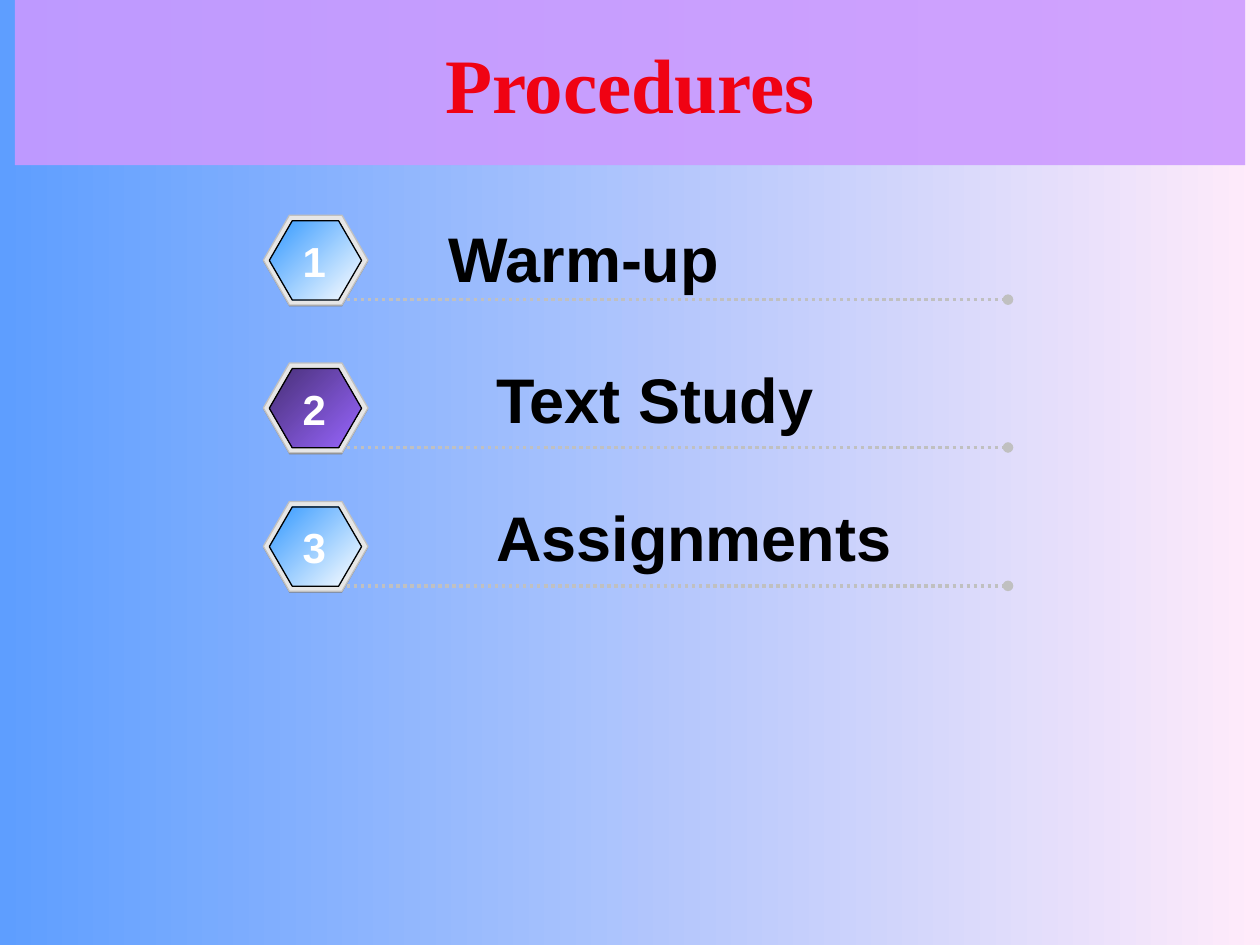
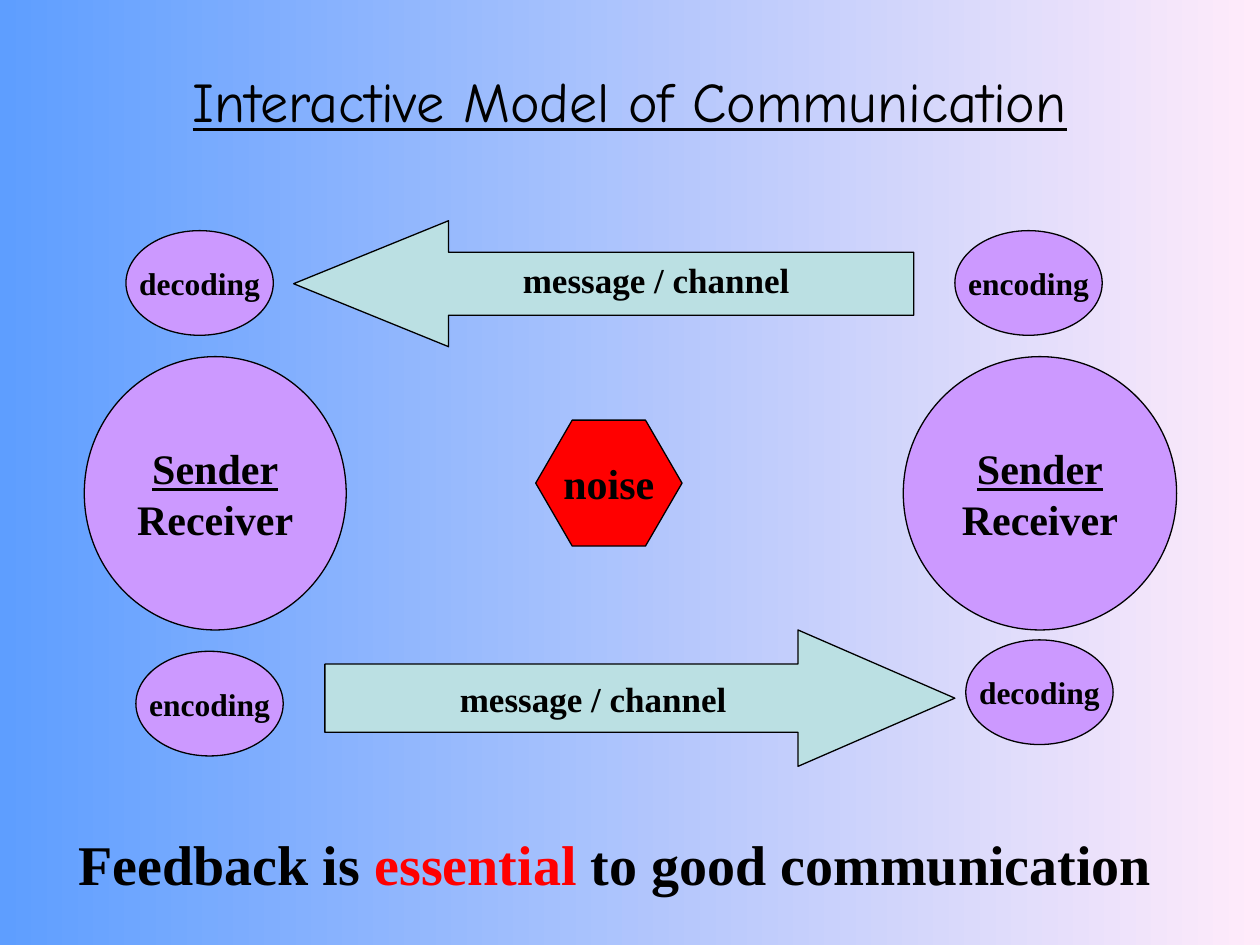
from lxml.etree import SubElement
from pptx import Presentation
from pptx.dml.color import RGBColor
from pptx.enum.dml import MSO_LINE
from pptx.enum.shapes import MSO_CONNECTOR, MSO_SHAPE
from pptx.enum.text import MSO_ANCHOR, PP_ALIGN
from pptx.oxml.ns import qn
from pptx.util import Cm, Pt

COLORS = {
    "sky": "5E9EFF", "blush": "FFEBFA", "lilac": "CC99FF", "title": "F00213",
    "shade": "808080", "frame": "E6E6E6", "silver": "C0C0C0", "blue": "3399FF",
    "white": "FFFFFF", "plum": "472F76", "violet": "9966FF", "black": "000000",
    "red": "FF0000", "aqua": "BBE0E3",
}
COLORS = {name: RGBColor.from_string(value) for name, value in COLORS.items()}
SERIF = "Times New Roman"


def add_figure(slide, kind, box, fill, line="black", adjustments=()):
    shape = slide.shapes.add_shape(kind, *[Cm(length) for length in box])
    shape.shadow.inherit = False
    for index, value in enumerate(adjustments):
        shape.adjustments[index] = value
    if isinstance(fill, tuple):
        shape.fill.gradient()
        shape.fill.gradient_angle = 315
        for stop, color in zip(shape.fill.gradient_stops, fill):
            stop.color.rgb = COLORS[color]
    else:
        shape.fill.solid()
        shape.fill.fore_color.rgb = COLORS[fill]
    if line:
        shape.line.color.rgb = COLORS[line]
        shape.line.width = Pt(0.75)
    else:
        shape.line.fill.background()
    return shape


def write(shape, text, size, font=SERIF, color="black", bold=True,
          align=PP_ALIGN.CENTER, anchor=MSO_ANCHOR.MIDDLE, wrap=False):
    text_frame = shape.text_frame
    text_frame.text = text
    text_frame.word_wrap = wrap
    text_frame.vertical_anchor = anchor
    for paragraph in text_frame.paragraphs:
        paragraph.alignment = align
        for run in paragraph.runs:
            run.font.size = Pt(size)
            run.font.name = font
            run.font.bold = bold
            run.font.color.rgb = COLORS[color]
    return text_frame.paragraphs


presentation = Presentation()
presentation.slide_width = Cm(25.4)
presentation.slide_height = Cm(19.05)
slides = []
for number in range(2):
    slide = presentation.slides.add_slide(presentation.slide_layouts[6])
    background = slide.background.fill
    background.gradient()
    background.gradient_angle = 0
    for stop, color in zip(background.gradient_stops, ("sky", "blush")):
        stop.color.rgb = COLORS[color]
    slides.append(slide)
procedures, model = slides

banner = add_figure(procedures, MSO_SHAPE.RECTANGLE, (0.3, 0, 24.8, 3.33), "lilac", None)
banner_color = banner.fill._xPr.find(qn("a:solidFill"))[0]
SubElement(banner_color, qn("a:alpha"), val="87000")
write(banner, "Procedures", 44, color="title")

steps = [
    ("Warm-up", 4.34, 8.79, 3.53, 1.5, ("blue", "white")),
    ("Text Study", 7.32, 9.75, 7.14, 1, ("plum", "violet")),
    ("Assignments", 10.11, 9.75, 9.93, 1, ("blue", "white")),
]
for number, (label, top, label_left, label_top, spacing, gradient) in enumerate(steps, 1):
    for box, fill, line in (
        ((5.31, top + 0.03, 2.11, 1.81), "shade", None),
        ((5.31, top, 2.11, 1.81), "frame", "silver"),
        ((5.43, top + 0.11, 1.86, 1.6), gradient, "black"),
    ):
        add_figure(procedures, MSO_SHAPE.HEXAGON, box, fill, line, (0.29,))

    line_top = Cm(top + 1.7)
    connector = procedures.shapes.add_connector(
        MSO_CONNECTOR.STRAIGHT, Cm(6.99), line_top, Cm(20.32), line_top)
    connector.line.color.rgb = COLORS["silver"]
    connector.line.width = Pt(2)
    connector.line.dash_style = MSO_LINE.ROUND_DOT
    SubElement(connector.line._get_or_add_ln(), qn("a:tailEnd"), type="oval")
    SubElement(connector._element.spPr, qn("a:effectLst"))

    label_box = procedures.shapes.add_textbox(
        Cm(label_left), Cm(label_top), Cm(10), Cm(1.78))
    paragraphs = write(label_box, label, 36, "Arial", align=PP_ALIGN.LEFT,
                       anchor=MSO_ANCHOR.TOP, wrap=True)
    paragraphs[0].line_spacing = spacing
    number_box = procedures.shapes.add_textbox(
        Cm(5.28), Cm(top + 0.28), Cm(2.11), Cm(1.27))
    write(number_box, str(number), 24, "Arial", "white",
          anchor=MSO_ANCHOR.TOP, wrap=True)

heading = model.shapes.add_textbox(Cm(0), Cm(0.43), Cm(25.4), Cm(3.18))
heading_paragraph = write(heading, "Interactive Model of Communication", 32,
                          "Comic Neue", bold=False, wrap=True)[0]
heading_paragraph.runs[0].font.underline = True

for left, width in ((1.7, 5.28), (18.21, 5.51)):
    person = add_figure(model, MSO_SHAPE.OVAL, (left, 7.19, width, 5.51), "lilac")
    paragraphs = write(person, "Sender\nReceiver", 24)
    paragraphs[0].runs[0].font.underline = True

for label, left, top in (
    ("decoding", 2.54, 4.65), ("encoding", 19.25, 4.65),
    ("encoding", 2.74, 13.13), ("decoding", 19.47, 12.9),
):
    process = add_figure(model, MSO_SHAPE.OVAL, (left, top, 2.97, 2.11), "lilac")
    write(process, label, 18)

noise = add_figure(model, MSO_SHAPE.HEXAGON, (10.8, 8.47, 2.95, 2.54), "red",
                   adjustments=(0.29,))
write(noise, "noise", 24)

for kind, box, head, label_left, label_top, label_width in (
    (MSO_SHAPE.RIGHT_ARROW, (6.55, 12.7, 12.7, 2.75), 1.15, 6.78, 13.54, 10.36),
    (MSO_SHAPE.LEFT_ARROW, (5.92, 4.45, 12.5, 2.54), 1.23, 9.32, 5.08, 7.82),
):
    add_figure(model, kind, box, "aqua", adjustments=(0.5, head))
    channel = model.shapes.add_textbox(
        Cm(label_left), Cm(label_top), Cm(label_width), Cm(1.12))
    write(channel, "message / channel", 20, anchor=MSO_ANCHOR.TOP, wrap=True)

feedback = model.shapes.add_textbox(Cm(1.3), Cm(16.59), Cm(22.2), Cm(1.63))
paragraph = write(feedback, "Feedback is ", 32, anchor=MSO_ANCHOR.TOP, wrap=True)[0]
for text, color in (("essential", "red"), (" to good communication", "black")):
    run = paragraph.add_run()
    run.text = text
    run.font.size = Pt(32)
    run.font.name = SERIF
    run.font.bold = True
    run.font.color.rgb = COLORS[color]

presentation.save("out.pptx")
